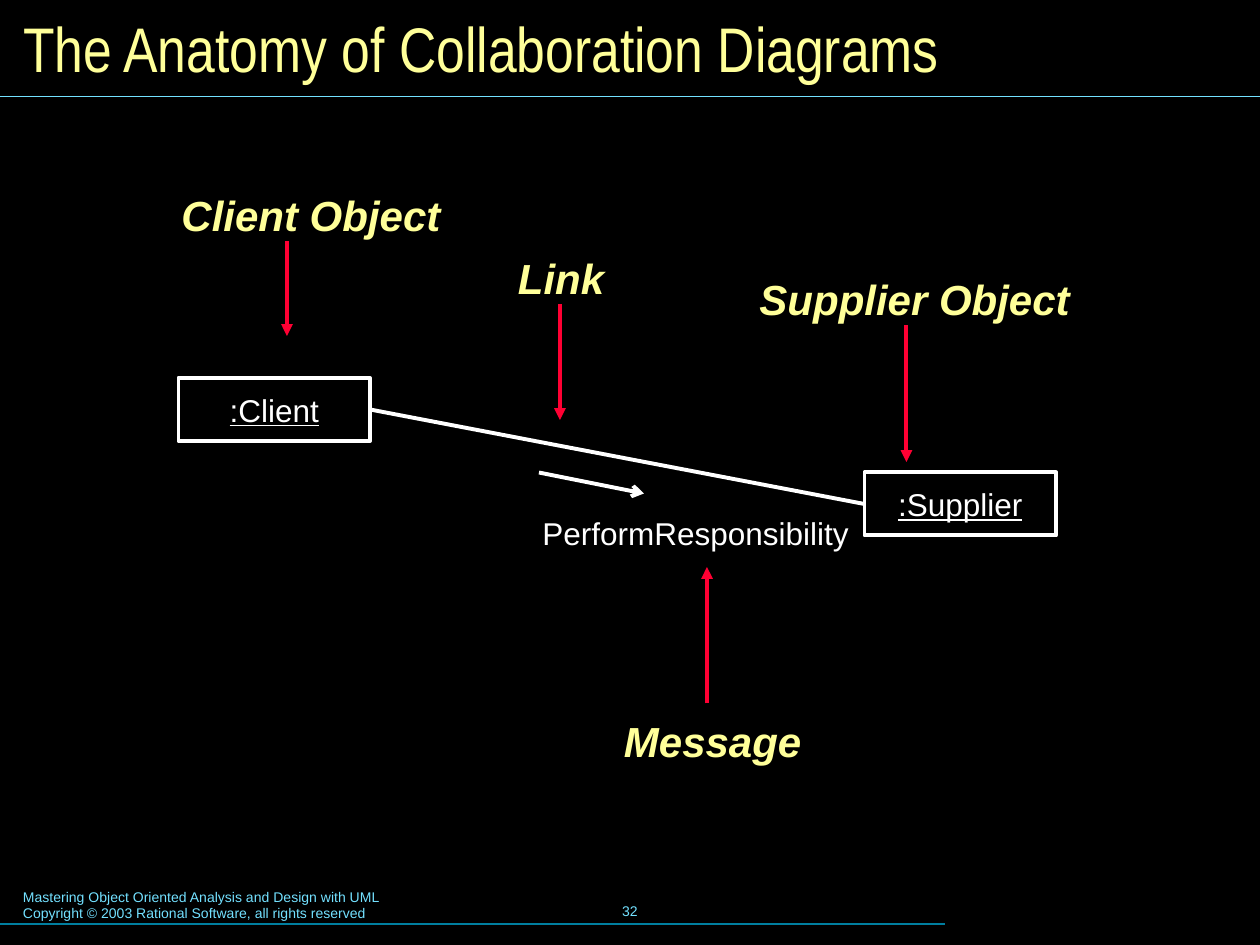
from pptx import Presentation
from pptx.dml.color import RGBColor
from pptx.enum.shapes import MSO_CONNECTOR as LINE, MSO_SHAPE as SHAPE
from pptx.enum.text import MSO_ANCHOR as ANCHOR, MSO_AUTO_SIZE as FIT, PP_ALIGN as ALIGN
from pptx.oxml.ns import qn
from pptx.util import Pt
from lxml.etree import SubElement

WHITE, YELLOW, RED, CYAN, TEAL = "FFFFFF", "FFFF99", "FF0033", "73E1FF", "007E9F"
WIDE, HIGH = 720, 540
BOX_W, BOX_H = 109.5, 36

TITLE = "The Anatomy of Collaboration Diagrams"
FOOTER = [
    "Mastering Object Oriented Analysis and Design with UML",
    "Copyright © 2003 Rational Software, all rights reserved",
]
PAGE = "32"
OBJECTS = [(":Client", 102, 216), (":Supplier", 494, 270)]  # text, left, top
LABELS = [  # text, left, top, width
    ("Client Object", 103.7, 108, 148),
    ("Link", 296, 144, 50),
    ("Supplier Object", 434, 156, 177),
    ("Message", 356.5, 409, 101.5),
]
POINTERS = [(164, 138, 192), (320, 174, 240), (518, 186, 264), (404, 402, 324)]  # x, from, to
MESSAGE = ("PerformResponsibility", 310, 294, 175)
FLOW = (308, 270, 368, 282)
RULES = [(WIDE, 55, CYAN), (540, 528, TEAL)]  # length, y, colour


def rgb(code):
    return RGBColor.from_string(code)


def write(shape, lines, size=18, color=WHITE, font="Arial", align=ALIGN.LEFT,
          anchor=ANCHOR.TOP, inset=(0, 0), wrap=False, **style):
    """Fill a shape with one paragraph a line; style holds bold, italic, underline."""
    frame = shape.text_frame
    frame.auto_size = FIT.NONE
    frame.word_wrap = wrap
    frame.vertical_anchor = anchor
    frame.margin_left = frame.margin_right = Pt(inset[0])
    frame.margin_top = frame.margin_bottom = Pt(inset[1])
    frame.text = "\n".join(lines)
    for para in frame.paragraphs:
        para.alignment = align
        face = para.font
        face.name, face.size = font, Pt(size)
        face.color.rgb = rgb(color)
        for name, value in style.items():
            setattr(face, name, value)


def add_text(slide, lines, left, top, width, height, **style):
    box = slide.shapes.add_textbox(Pt(left), Pt(top), Pt(width), Pt(height))
    write(box, lines, **style)


def add_line(slide, x1, y1, x2, y2, color=WHITE, width=2.25, head=None):
    line = slide.shapes.add_connector(LINE.STRAIGHT, Pt(x1), Pt(y1), Pt(x2), Pt(y2))
    line.line.color.rgb = rgb(color)
    line.line.width = Pt(width)
    if head:
        SubElement(line.line._get_or_add_ln(), qn("a:tailEnd"), type=head)
    SubElement(line._element.spPr, qn("a:effectLst"))
    return line


def add_object(slide, text, left, top):
    box = slide.shapes.add_shape(SHAPE.RECTANGLE, Pt(left), Pt(top), Pt(BOX_W), Pt(BOX_H))
    box.shadow.inherit = False
    box.fill.background()
    box.line.color.rgb = rgb(WHITE)
    box.line.width = Pt(2.25)
    write(box, [text], align=ALIGN.CENTER, anchor=ANCHOR.MIDDLE, underline=True)
    return box


def main():
    deck = Presentation()
    deck.slide_width, deck.slide_height = Pt(WIDE), Pt(HIGH)
    slide = deck.slides.add_slide(deck.slide_layouts[5])
    slide.background.fill.solid()
    slide.background.fill.fore_color.rgb = rgb("000000")

    title = slide.shapes.title
    title.left, title.top, title.width, title.height = Pt(6), Pt(6), Pt(708), Pt(42)
    write(title, [TITLE], size=36, color=YELLOW, font="Arial Narrow",
          anchor=ANCHOR.MIDDLE, inset=(7.2, 3.6), wrap=True)

    for length, y, color in RULES:
        add_line(slide, 0, y, length, y, color, 0.75)
    add_text(slide, FOOTER, 6, 504, 367, 27, size=8, color=CYAN, inset=(7.2, 3.6), wrap=True)
    add_text(slide, [PAGE], 246, 502.5, 228, 36, size=8, color=CYAN, align=ALIGN.CENTER,
             anchor=ANCHOR.MIDDLE, inset=(7.2, 3.6))

    client, supplier = [add_object(slide, *item) for item in OBJECTS]
    link = add_line(slide, 0, 0, 1, 1)
    link.begin_connect(client, 3)
    link.end_connect(supplier, 1)

    add_line(slide, *FLOW, head="arrow")
    text, left, top, width = MESSAGE
    add_text(slide, [text], left, top, width, 22)

    for text, left, top, width in LABELS:
        add_text(slide, [text], left, top, width, 29, size=24, color=YELLOW,
                 bold=True, italic=True)
    for x, start, end in POINTERS:
        add_line(slide, x, start, x, end, RED, head="triangle")

    deck.save("out.pptx")


if __name__ == "__main__":
    main()
